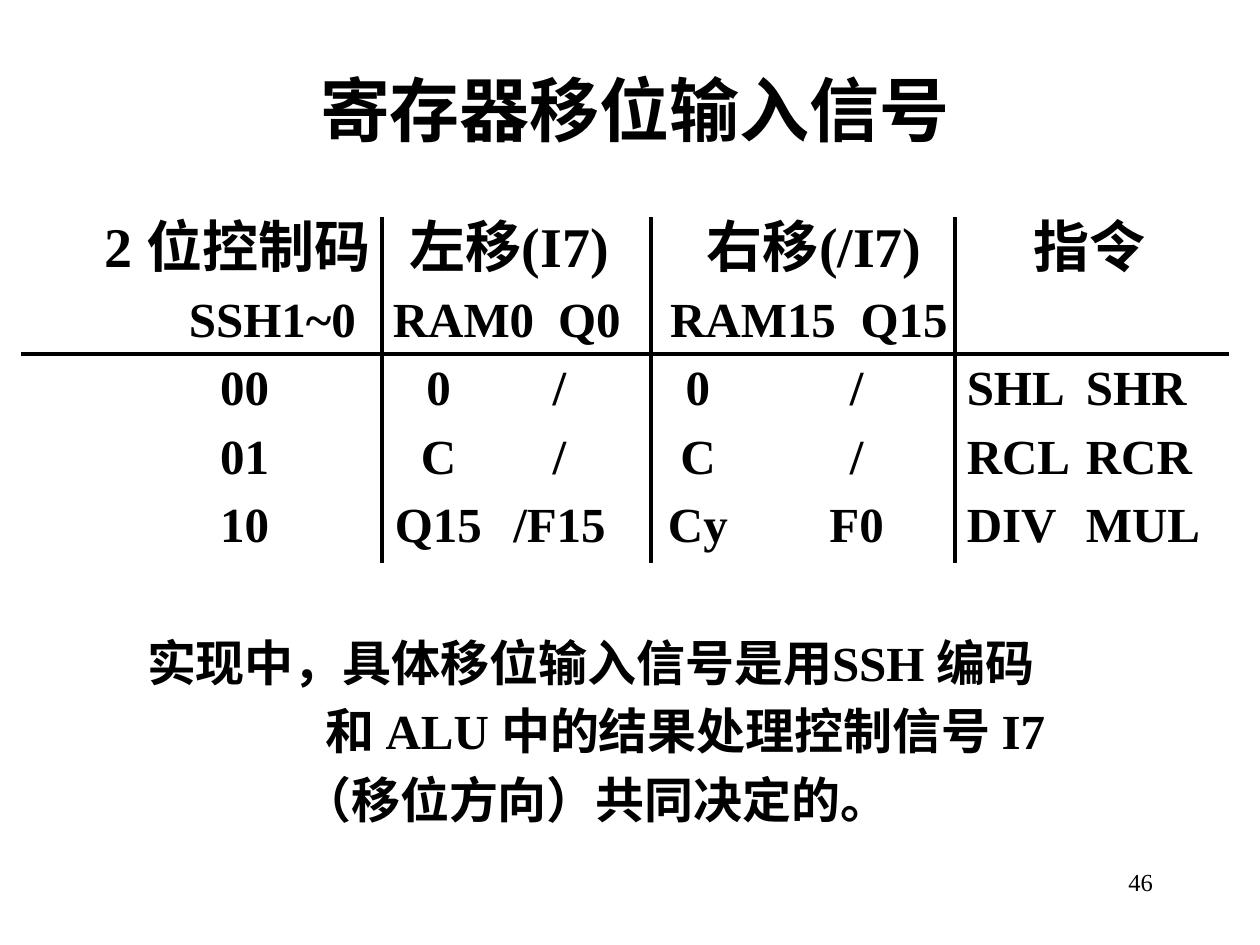
from lxml import etree
from pptx import Presentation
from pptx import util as u
from pptx.dml.color import RGBColor
from pptx.enum import shapes, text
from pptx.oxml.ns import qn

BLACK = RGBColor(0, 0, 0)
WHITE = RGBColor(255, 255, 255)
FONT = "Times New Roman"
ROW_GAP = 5.5

TITLE_BOX = (1.9, 1.24, 21.79, 1.88)
SIGNAL_BOX = (0.64, 4.14, 24.13, 7.4)
NOTE_BOX = (0.64, 12.62, 24.13, 4.6)
NUMBER_BOX = (18.21, 17.35, 5.28, 1.27)

CODE_STOPS = [(4.04, "ctr"), (7.95, "ctr"), (10.39, "ctr"), (13.18, "ctr"),
              (16.38, "ctr"), (18.6, "l"), (21, "l")]
SIGNAL_STOPS = [(2.92, "l"), (7.03, "l"), (10.36, "l"), (12.62, "l"), (16.46, "l")]
HEADING_STOPS = [(1.22, "l"), (7.37, "l"), (13.36, "l"), (19.94, "l")]

ROWS = [
    (["2 位控制码", "左移(I7)", "右移(/I7)", "指令"], 32, HEADING_STOPS),
    (["SSH1~0", "RAM0", "Q0", "RAM15", "Q15"], 28, SIGNAL_STOPS),
    (["00", "0", "/", "0", "/", "SHL", "SHR"], 28, CODE_STOPS),
    (["01", "C", "/", "C", "/", "RCL", "RCR"], 28, CODE_STOPS),
    (["10", "Q15", "/F15", "Cy", "F0", "DIV", "MUL"], 28, CODE_STOPS),
]
NOTE = [
    ("实现中，具体移位输入信号是用SSH 编码", 2.07),
    ("和 ALU 中的结果处理控制信号 I7", 5.67),
    ("（移位方向）共同决定的。", 5.2),
]


def apply(target, values):
    """Set every attribute of a dict on the target."""
    for name, value in values.items():
        setattr(target, name, value)


def place(shape, box):
    """Put a shape into a box given in centimetres."""
    apply(shape, dict(zip(("left", "top", "width", "height"), map(u.Cm, box))))


def style(paragraph, size, bold=True):
    """Give a paragraph the slide's font."""
    apply(paragraph.font, {"name": FONT, "size": u.Pt(size), "bold": bold})
    paragraph.font.color.rgb = BLACK


def next_paragraph(frame, index):
    """Return the paragraph for the given line of a frame."""
    return frame.add_paragraph() if index else frame.paragraphs[0]


def finish(paragraph, index, words, size):
    """Write the words of a line and set its spacing and font."""
    paragraph.add_run().text = words
    apply(paragraph, {"space_before": u.Pt(ROW_GAP if index else 0),
                      "alignment": text.PP_ALIGN.LEFT})
    style(paragraph, size)


def build_title(slide, box):
    """Fill the title placeholder."""
    title = slide.shapes.title
    place(title, box)
    title.text_frame.text = "寄存器移位输入信号"
    apply(title.text_frame, {"vertical_anchor": text.MSO_ANCHOR.MIDDLE,
                             "auto_size": text.MSO_AUTO_SIZE.NONE})
    paragraph = title.text_frame.paragraphs[0]
    paragraph.alignment = text.PP_ALIGN.CENTER
    style(paragraph, 40)


def build_signals(slide, box):
    """Write the signal rows on tab stops."""
    frame = slide.shapes.add_textbox(*map(u.Cm, box)).text_frame
    frame.word_wrap = True
    for index, (cells, size, stops) in enumerate(ROWS):
        paragraph = next_paragraph(frame, index)
        tabs = etree.SubElement(paragraph._p.get_or_add_pPr(), qn("a:tabLst"))
        for position, align in stops:
            etree.SubElement(tabs, qn("a:tab"), pos=str(u.Cm(position)), algn=align)
        finish(paragraph, index, "".join("\t" + cell for cell in cells), size)


def build_note(slide, box):
    """Fill the body placeholder with the indented note."""
    body = slide.placeholders[1]
    place(body, box)
    frame = body.text_frame
    apply(frame, {"auto_size": text.MSO_AUTO_SIZE.NONE, "word_wrap": True,
                  "vertical_anchor": text.MSO_ANCHOR.TOP})
    for index, (words, margin) in enumerate(NOTE):
        paragraph = next_paragraph(frame, index)
        paragraph.level = 1
        properties = paragraph._p.get_or_add_pPr()
        properties.set("marL", str(u.Cm(margin)))
        properties.set("indent", "0")
        etree.SubElement(properties, qn("a:buNone"))
        finish(paragraph, index, words, 28)


def build_rules(slide, box):
    """Draw the column rules and the rule under the heading rows."""
    left, top = box[:2]
    upper, lower, middle = top + 0.23, top + 7.21, top + 3
    ends = [(left + x, upper, left + x, lower) for x in (7.06, 12.49, 18.61)]
    ends.append((left - 0.21, middle, left + box[2], middle))
    for points in ends:
        rule = slide.shapes.add_connector(shapes.MSO_CONNECTOR.STRAIGHT,
                                          *map(u.Cm, points))
        rule.line.color.rgb = BLACK
        rule.line.width = u.Pt(2.25)
        etree.SubElement(rule._element.spPr, qn("a:effectLst"))


def build_number(slide, box):
    """Write the page number at the lower right."""
    number = slide.shapes.add_textbox(*map(u.Cm, box))
    number.text_frame.word_wrap = True
    paragraph = number.text_frame.paragraphs[0]
    paragraph.add_run().text = "46"
    paragraph.alignment = text.PP_ALIGN.RIGHT
    style(paragraph, 14, False)


def main():
    """Build and save the slide."""
    deck = Presentation()
    apply(deck, {"slide_width": u.Cm(25.4), "slide_height": u.Cm(19.05)})
    slide = deck.slides.add_slide(deck.slide_layouts[1])
    slide.background.fill.solid()
    slide.background.fill.fore_color.rgb = WHITE
    build_title(slide, TITLE_BOX)
    build_signals(slide, SIGNAL_BOX)
    build_note(slide, NOTE_BOX)
    build_rules(slide, SIGNAL_BOX)
    build_number(slide, NUMBER_BOX)
    deck.save("out.pptx")


if __name__ == "__main__":
    main()
